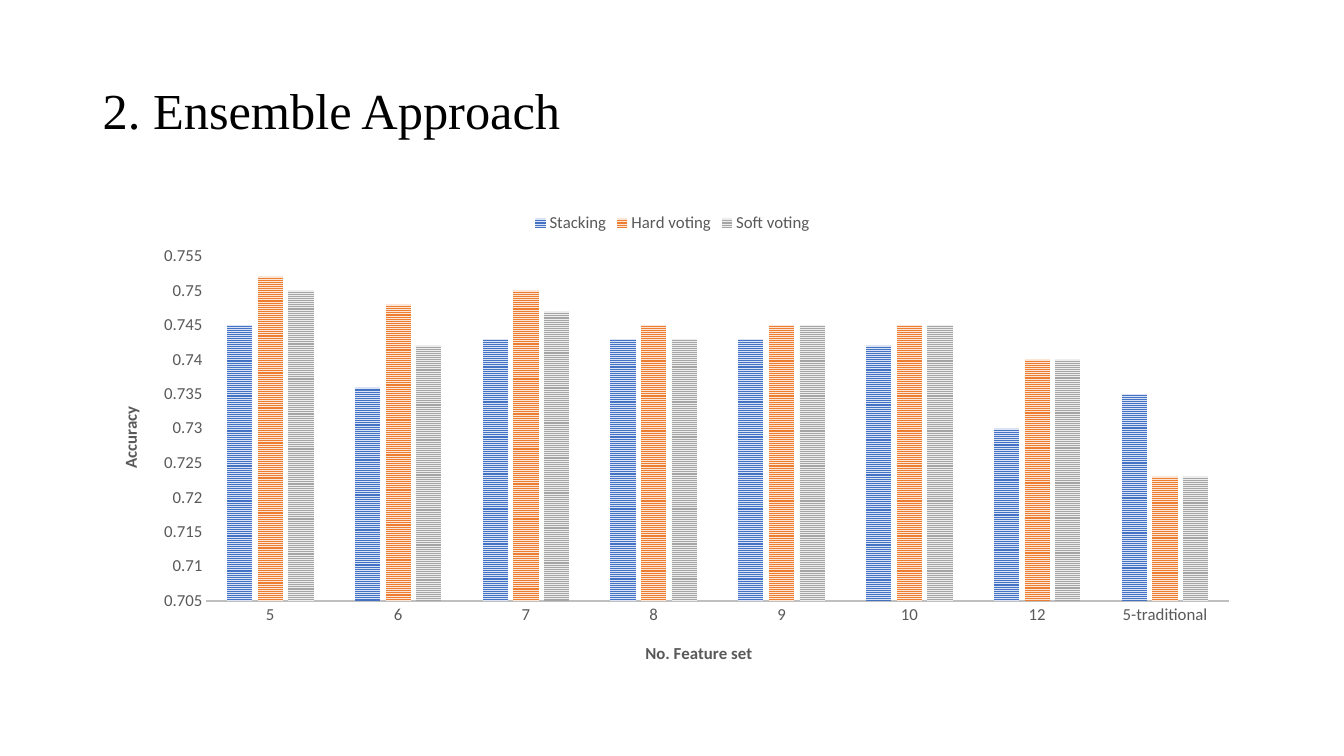
from lxml import etree
from pptx import Presentation
from pptx import util as u
from pptx.chart.data import CategoryChartData
from pptx.dml.color import RGBColor
from pptx.enum import chart as charts, dml, text
from pptx.oxml import parse_xml
from pptx.oxml.ns import nsdecls, qn

BODY_FONT = "Calibri"
GREY = "595959"
FEATURE_SETS = ["5", "6", "7", "8", "9", "10", "12", "5-traditional"]
# Name, accuracy per feature set, stripe colour, background colour
METHODS = [
    ("Stacking", [0.745, 0.736, 0.743, 0.743, 0.743, 0.742, 0.73, 0.735], "4472C4", "DAE3F3"),
    ("Hard voting", [0.752, 0.748, 0.75, 0.745, 0.745, 0.745, 0.74, 0.723], "ED7D31", "FBE5D6"),
    ("Soft voting", [0.75, 0.742, 0.747, 0.743, 0.745, 0.745, 0.74, 0.723], "A5A5A5", "EDEDED"),
]


def color(code):
    return RGBColor.from_string(code)


def style_font(font, size, code, name=BODY_FONT, bold=False):
    font.size = u.Pt(size)
    font.name = name
    font.bold = bold
    font.color.rgb = color(code)


def set_layout(parent, position, **fractions):
    """Place a chart part by fractions of the chart area."""
    for old in parent.findall(qn("c:layout")):
        parent.remove(old)
    layout = parse_xml(f"<c:layout {nsdecls('c')}><c:manualLayout/></c:layout>")
    manual = layout[0]
    settings = {"xMode": "edge", "yMode": "edge", **fractions}
    if "w" in fractions:
        settings = {"layoutTarget": "inner", **settings}
    for tag, value in settings.items():
        etree.SubElement(manual, qn(f"c:{tag}")).set("val", str(value))
    parent.insert(position, layout)


def style_axis(axis, title, x, y):
    axis.has_major_gridlines = False
    axis.major_tick_mark = axis.minor_tick_mark = charts.XL_TICK_MARK.NONE
    style_font(axis.tick_labels.font, 12, GREY)
    para = axis.axis_title.text_frame.paragraphs[0]
    para.text = title
    style_font(para.font, 12, GREY, bold=True)
    set_layout(axis.axis_title._element, 1, x=x, y=y)


def add_title(page, left, top, width, height):
    box = page.shapes.add_textbox(left, top, width, height)
    frame = box.text_frame
    frame.word_wrap = True
    frame.vertical_anchor = text.MSO_ANCHOR.MIDDLE
    para = frame.paragraphs[0]
    para.text = "2. Ensemble Approach"
    para.line_spacing = 0.9
    style_font(para.font, 36, "000000", "Times New Roman")


def add_accuracy_chart(page, left, top, width, height):
    data = CategoryChartData(number_format="General")
    data.categories = FEATURE_SETS
    for name, values, *_ in METHODS:
        data.add_series(name, values)
    chart = page.shapes.add_chart(
        charts.XL_CHART_TYPE.COLUMN_CLUSTERED, left, top, width, height, data).chart
    style_font(chart.font, 10, "000000")
    chart.has_title = False

    # Legend
    chart.has_legend = True
    chart.legend.position = charts.XL_LEGEND_POSITION.TOP
    chart.legend.include_in_layout = False
    style_font(chart.legend.font, 12, GREY)

    # Striped columns
    plot = chart.plots[0]
    plot.gap_width, plot.overlap = 164, -22
    plot.vary_by_categories = False
    for series, (_, _, stripe, background) in zip(plot.series, METHODS):
        fill = series.format.fill
        fill.patterned()
        fill.pattern = dml.MSO_PATTERN.NARROW_HORIZONTAL
        fill.fore_color.rgb = color(stripe)
        fill.back_color.rgb = color(background)
        series.format.line.fill.background()
        series.invert_if_negative = False

    # Axes
    style_axis(chart.category_axis, "No. Feature set", 0.474, 0.912)
    line = chart.category_axis.format.line
    line.color.rgb = color("BFBFBF")
    line.width = u.Pt(1.5)
    value_axis = chart.value_axis
    style_axis(value_axis, "Accuracy", 0.02, 0.42)
    value_axis.format.line.fill.background()
    value_axis.minimum_scale, value_axis.maximum_scale = 0.705, 0.755
    value_axis.major_unit = 0.005
    set_layout(plot._element.getparent(), 0, x=0.098, y=0.113, w=0.882, h=0.719)


def main():
    deck = Presentation()
    deck.slide_width, deck.slide_height = u.Inches(13.33), u.Inches(7.5)
    page = deck.slides.add_slide(deck.slide_layouts[6])
    left, width = u.Inches(0.92), u.Inches(11.5)
    add_title(page, left, u.Inches(0.4), width, u.Inches(1.45))
    add_accuracy_chart(page, left, u.Inches(2), width, u.Inches(4.76))
    deck.save("out.pptx")


if __name__ == "__main__":
    main()
